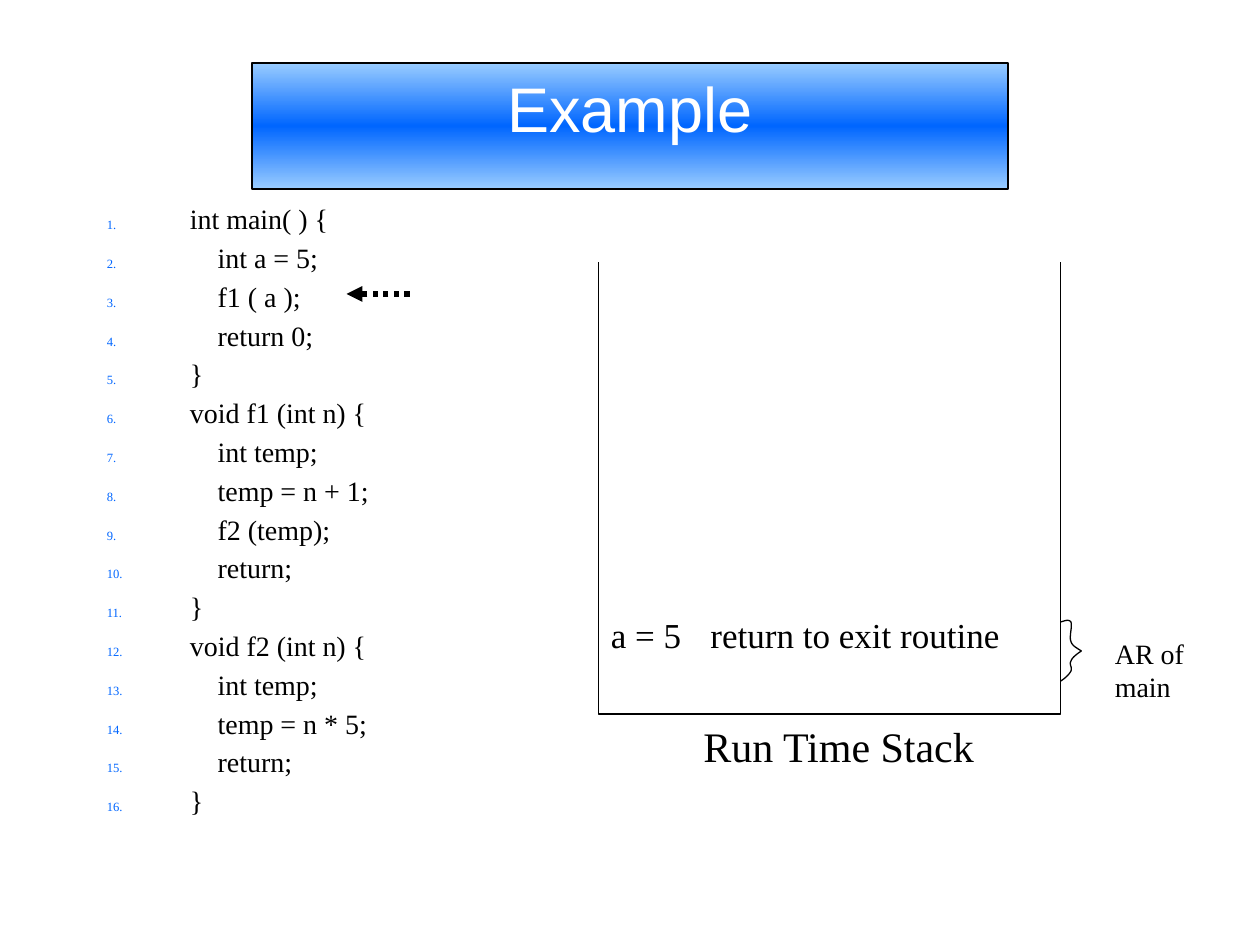
from copy import deepcopy
from dataclasses import dataclass

from lxml.etree import SubElement
from pptx import Presentation
from pptx.dml.color import RGBColor as Rgb
from pptx.enum.dml import MSO_LINE as Dash
from pptx.enum.shapes import MSO_CONNECTOR as Connector, MSO_SHAPE as Preset
from pptx.enum.text import MSO_ANCHOR as Anchor, PP_ALIGN as Align
from pptx.oxml.ns import qn
from pptx.util import Inches, Pt

UNIT = Inches(1) // 12  # grid step: the slide is 120 columns by 90 rows


@dataclass(frozen=True)
class Theme:
    ink: str = "000000"
    paper: str = "FFFFFF"
    accent: str = "0066FF"
    pale: str = "99CCFF"
    heading: str = "Arial"
    body: str = "Times New Roman"
    title_size: int = 36
    caption_size: int = 24
    frame_size: int = 20
    code_size: int = 16
    thin: float = 0.75


THEME = Theme()

CODE = [  # indent level, text
    (0, "int main( ) {"), (1, "int a = 5;"), (1, "f1 ( a );"),
    (1, "return 0;"), (0, "}"),
    (0, "void f1 (int n) {"), (1, "int temp;"), (1, "temp = n + 1;"),
    (1, "f2 (temp);"), (1, "return;"), (0, "}"),
    (0, "void f2 (int n) {"), (1, "int temp;"), (1, "temp = n * 5;"),
    (1, "return;"), (0, "}"),
]

# Upper half of the brace as shares of its box, from the tip to the stack wall
BRACE_HALF = [
    [(1, 0.5), (0.82, 0.46), (0.56, 0.42), (0.5, 0.35)],
    [(0.5, 0.35), (0.4, 0.28), (0.58, 0.1), (0.5, 0.04)],
    [(0.5, 0.04), (0.4, -0.01), (0.22, 0.02), (0, 0.04)],
]
BRACE_LOWER_HALF = [
    [(1, 0.5), (0.82, 0.54), (0.56, 0.6), (0.5, 0.66)],
    [(0.5, 0.66), (0.4, 0.72), (0.58, 0.76), (0.5, 0.82)],
    [(0.5, 0.82), (0.4, 0.88), (0.2, 0.94), (0, 0.98)],
]


def grid(*cells):
    return [round(cell * UNIT) for cell in cells]


def add_text(frame, text, size, font=THEME.body, color=THEME.ink,
             align=Align.LEFT, para=None):
    para = para or frame.paragraphs[0]
    para.alignment = align
    span = para.add_run()
    span.text = text
    span.font.size = Pt(size)
    span.font.name = font
    span.font.color.rgb = Rgb.from_string(color)
    return para


def add_box(page, box, wrap=True):
    frame = page.shapes.add_textbox(*grid(*box)).text_frame
    frame.word_wrap = wrap
    return frame


def number_line(para, level):
    """Number a code line; the number stays left while the text indents."""
    para.line_spacing = 0.9
    para.space_before = Pt(4.9)
    margin = Inches(0.66 + 0.22 * level)
    properties = para._p.get_or_add_pPr()
    properties.set("marL", str(margin))
    properties.set("indent", str(-margin))
    color = SubElement(properties, qn("a:buClr"))
    SubElement(color, qn("a:srgbClr"), val=THEME.accent)
    SubElement(properties, qn("a:buSzPct"), val="45000")
    SubElement(properties, qn("a:buAutoNum"), type="arabicPeriod")


def set_tab(para, position):
    tabs = SubElement(para._p.get_or_add_pPr(), qn("a:tabLst"))
    SubElement(tabs, qn("a:tab"), pos=str(position), algn="l")


def style_line(shape, width):
    shape.line.color.rgb = Rgb.from_string(THEME.ink)
    shape.line.width = Pt(width)


def draw_path(page, points):
    builder = page.shapes.build_freeform(*grid(*points[0]))
    builder.add_line_segments([grid(*point) for point in points[1:]], close=False)
    shape = builder.convert_to_shape()
    shape.shadow.inherit = False
    shape.fill.background()
    style_line(shape, THEME.thin)


def bezier(curve, steps=8):
    for step in range(steps + 1):
        t = step / steps
        weights = ((1 - t) ** 3, 3 * t * (1 - t) ** 2, 3 * t * t * (1 - t), t ** 3)
        yield tuple(sum(w * point[axis] for w, point in zip(weights, curve))
                    for axis in (0, 1))


def title_banner(page, box):
    banner = page.shapes.add_shape(Preset.RECTANGLE, *grid(*box))
    banner.shadow.inherit = False
    style_line(banner, 1)
    banner.fill.gradient()
    banner.fill.gradient_angle = 90
    stops = banner.fill._fill._gradFill.gsLst
    stops.insert(1, deepcopy(stops[0]))
    colors = (THEME.pale, THEME.accent, THEME.pale)
    for index, (stop, color) in enumerate(zip(banner.fill.gradient_stops, colors)):
        stop.position = index / 2
        stop.color.rgb = Rgb.from_string(color)
    banner.text_frame.vertical_anchor = Anchor.TOP
    add_text(banner.text_frame, "Example", THEME.title_size, THEME.heading,
             THEME.paper, Align.CENTER)


def code_listing(page, box):
    frame = add_box(page, box)
    for index, (level, text) in enumerate(CODE):
        para = frame.add_paragraph() if index else frame.paragraphs[0]
        add_text(frame, text, THEME.code_size, para=para)
        number_line(para, level)


def current_line_arrow(page, box):
    left, top, width, _ = box
    arrow = page.shapes.add_connector(
        Connector.STRAIGHT, *grid(left + width, top, left, top))
    style_line(arrow, 3)
    arrow.line.dash_style = Dash.ROUND_DOT
    SubElement(arrow.line._get_or_add_ln(), qn("a:tailEnd"), type="triangle")
    SubElement(arrow._element.spPr, qn("a:effectLst"))


def run_time_stack(page, box):
    left, top, width, height = box
    right, bottom = left + width, top + height
    caption = add_box(page, (left + 8.8, bottom, 28.2, 6), wrap=False)
    add_text(caption, "Run Time Stack", THEME.caption_size)
    record = add_box(page, (left, bottom - 10.2, width, 5.2))
    para = add_text(record, "a = 5\treturn to exit routine", THEME.frame_size)
    set_tab(para, Inches(0.79))
    draw_path(page, [(left, top), (left, bottom), (right, bottom), (right, top)])


def record_brace(page, box):
    """Draw the brace beside an activation record, with its label."""
    left, top, width, height = box
    for half in (BRACE_LOWER_HALF, BRACE_HALF):
        draw_path(page, [(left + x * width, top + y * height)
                         for curve in half for x, y in bezier(curve)])
    label = add_box(page, (left + 4, top + 1, 14, 7))
    add_text(label, "AR of main", THEME.code_size)


def main():
    deck = Presentation()
    deck.slide_width, deck.slide_height = grid(120, 90)
    page = deck.slides.add_slide(deck.slide_layouts[6])
    title_banner(page, (24, 6, 72, 12))
    code_listing(page, (9, 19, 102, 54))
    current_line_arrow(page, (33, 28, 6, 0))
    run_time_stack(page, (57, 25, 44, 43))
    record_brace(page, (101, 59, 2, 6))
    deck.save("out.pptx")


if __name__ == "__main__":
    main()
